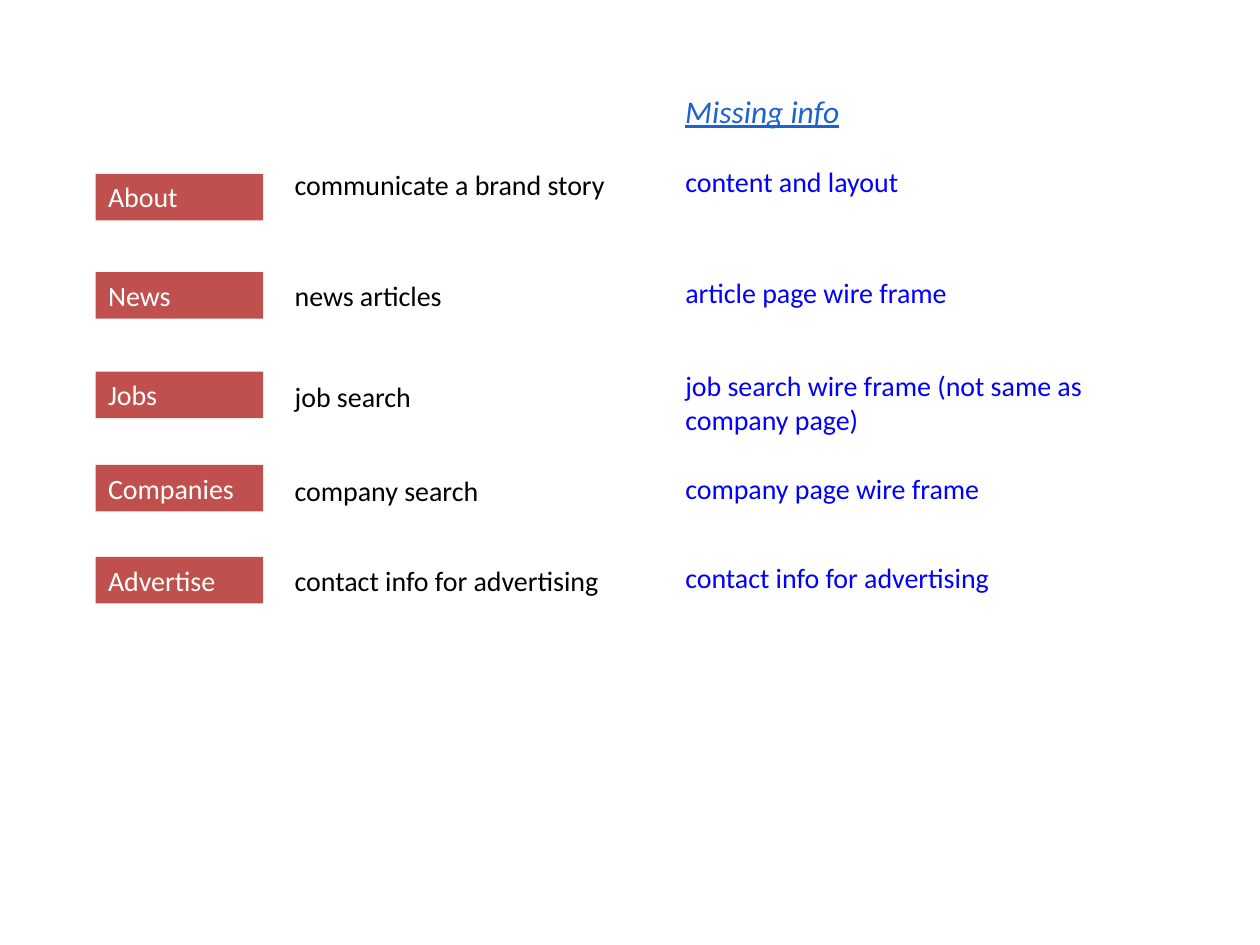
from dataclasses import dataclass

from pptx import Presentation
from pptx.dml.color import RGBColor
from pptx.enum.shapes import MSO_SHAPE
from pptx.enum.text import MSO_ANCHOR, MSO_AUTO_SIZE, PP_ALIGN
from pptx.util import Inches, Pt

RECTANGLE = MSO_SHAPE.RECTANGLE
TOP = MSO_ANCHOR.TOP
LEFT = PP_ALIGN.LEFT
GROW = MSO_AUTO_SIZE.SHAPE_TO_FIT_TEXT

FONT = "Calibri"
LINE_HEIGHT = 0.37
TWO_LINE_HEIGHT = 0.64
BLANK_LAYOUT = 6


@dataclass(frozen=True)
class Column:
    left: float
    width: float
    color: str
    fill: str = ""


@dataclass(frozen=True)
class Cell:
    top: float
    text: str
    height: float = LINE_HEIGHT


COLUMNS = (
    Column(0.76, 1.33, "FFFFFF", "C0504D"),
    Column(2.24, 3.51, "000000"),
    Column(5.34, 3.51, "0000FF"),
)
HEADING_COLUMN = Column(5.34, 2.06, "1B62D4")
HEADING = Cell(0.68, "Missing info", 0.4)

# Each row holds the menu item, its purpose and the information still missing.
ROWS = (
    (Cell(1.38, "About"), Cell(1.28, "communicate a brand story"),
     Cell(1.26, "content and layout")),
    (Cell(2.16, "News"), Cell(2.16, "news articles"),
     Cell(2.14, "article page wire frame")),
    (Cell(2.95, "Jobs"), Cell(2.96, "job search"),
     Cell(2.88, "job search wire frame (not same as company page)",
          TWO_LINE_HEIGHT)),
    (Cell(3.69, "Companies"), Cell(3.71, "company search"),
     Cell(3.69, "company page wire frame")),
    (Cell(4.42, "Advertise"), Cell(4.42, "contact info for advertising"),
     Cell(4.4, "contact info for advertising")),
)


def rgb(color: str) -> RGBColor:
    return RGBColor.from_string(color)


def draw_cell(slide, column: Column, cell: Cell, size: int = 16):
    """Draw a filled box or a plain text box and return its paragraph."""
    bounds = [Inches(length) for length in
              (column.left, cell.top, column.width, cell.height)]
    if column.fill:
        shape = slide.shapes.add_shape(RECTANGLE, *bounds)
        shape.shadow.inherit = False
        shape.fill.solid()
        shape.fill.fore_color.rgb = rgb(column.fill)
        shape.line.fill.background()
    else:
        shape = slide.shapes.add_textbox(*bounds)
    frame = shape.text_frame
    frame.word_wrap = True
    frame.auto_size = GROW
    frame.vertical_anchor = TOP
    paragraph = frame.paragraphs[0]
    paragraph.text = cell.text
    paragraph.alignment = LEFT
    paragraph.font.name = FONT
    paragraph.font.size = Pt(size)
    paragraph.font.color.rgb = rgb(column.color)
    return paragraph


def main() -> None:
    presentation = Presentation()
    presentation.slide_width = Inches(10)
    presentation.slide_height = Inches(7.5)
    slide = presentation.slides.add_slide(
        presentation.slide_layouts[BLANK_LAYOUT])

    for column, cells in zip(COLUMNS, zip(*ROWS)):
        for cell in cells:
            draw_cell(slide, column, cell)

    heading = draw_cell(slide, HEADING_COLUMN, HEADING, size=18)
    heading.font.italic = True
    heading.font.underline = True

    presentation.save("out.pptx")


if __name__ == "__main__":
    main()
